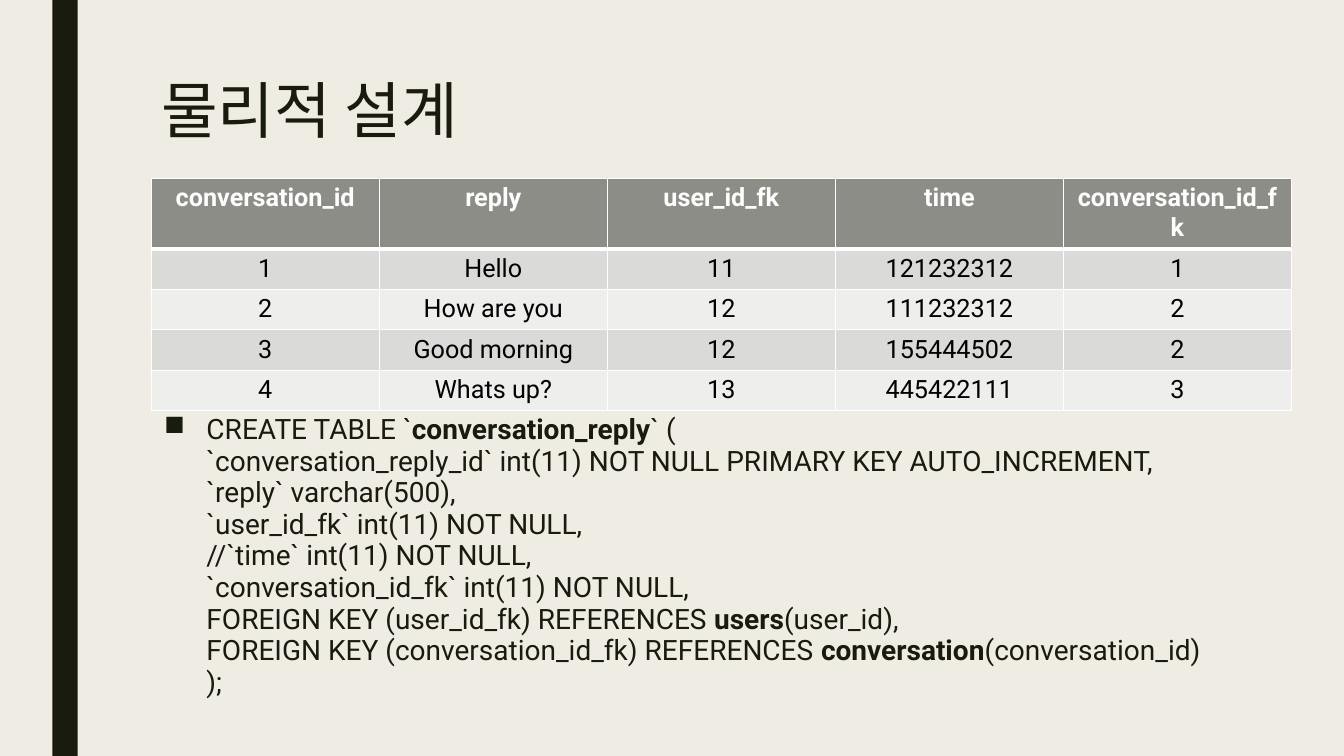
from typing import NamedTuple

from lxml.etree import SubElement
from pptx import Presentation
from pptx.dml.color import RGBColor
from pptx.enum.shapes import MSO_SHAPE
from pptx.enum.text import MSO_ANCHOR, PP_ALIGN
from pptx.oxml.ns import qn
from pptx.slide import Slide
from pptx.table import _Cell
from pptx.text.text import TextFrame, _Paragraph
from pptx.util import Inches, Pt

FONT = "Roboto"
IVORY = RGBColor(0xEF, 0xED, 0xE3)
INK = RGBColor(0x19, 0x1B, 0x0E)
WHITE = RGBColor(0xFF, 0xFF, 0xFF)
BLACK = RGBColor(0, 0, 0)
HEADER_GRAY = RGBColor(0x8C, 0x8D, 0x86)
BAND_DARK = RGBColor(0xDA, 0xDB, 0xD9)
BAND_LIGHT = RGBColor(0xEE, 0xEE, 0xED)


class Box(NamedTuple):
    left: float
    top: float
    width: float
    height: float


class RowStyle(NamedTuple):
    fill: RGBColor
    color: RGBColor
    bold: bool
    top_line: float
    bottom_line: float


class Piece(NamedTuple):
    text: str
    bold: bool = False


HEADER = RowStyle(HEADER_GRAY, WHITE, True, 1, 3)
FIRST_ROW = RowStyle(BAND_DARK, BLACK, False, 3, 1)
ODD_ROW = RowStyle(BAND_DARK, BLACK, False, 1, 1)
EVEN_ROW = RowStyle(BAND_LIGHT, BLACK, False, 1, 1)
ROW_STYLES = [HEADER, FIRST_ROW, EVEN_ROW, ODD_ROW, EVEN_ROW]

REPLIES = [
    ["conversation_id", "reply", "user_id_fk", "time", "conversation_id_fk"],
    ["1", "Hello", "11", "121232312", "1"],
    ["2", "How are you", "12", "111232312", "2"],
    ["3", "Good morning", "12", "155444502", "2"],
    ["4", "Whats up?", "13", "445422111", "3"],
]

SQL_LINES = [
    [Piece("CREATE TABLE `"), Piece("conversation_reply", True), Piece("` (")],
    [Piece("`conversation_reply_id` int(11) NOT NULL PRIMARY KEY AUTO_INCREMENT,")],
    [Piece("`reply` varchar(500),")],
    [Piece("`user_id_fk` int(11) NOT NULL,")],
    [Piece("//`time` int(11) NOT NULL,")],
    [Piece("`conversation_id_fk` int(11) NOT NULL,")],
    [Piece("FOREIGN KEY (user_id_fk) REFERENCES "), Piece("users", True),
     Piece("(user_id),")],
    [Piece("FOREIGN KEY (conversation_id_fk) REFERENCES "),
     Piece("conversation", True), Piece("(conversation_id)")],
    [Piece(");")],
]


def set_font(paragraph: _Paragraph, size: float, color: RGBColor) -> None:
    paragraph.font.name = FONT
    paragraph.font.size = Pt(size)
    paragraph.font.color.rgb = color


def add_text_frame(slide: Slide, box: Box) -> TextFrame:
    frame = slide.shapes.add_textbox(*map(Inches, box)).text_frame
    frame.word_wrap = True
    frame.vertical_anchor = MSO_ANCHOR.TOP
    return frame


def add_side_bar(slide: Slide, box: Box) -> None:
    bar = slide.shapes.add_shape(MSO_SHAPE.RECTANGLE, *map(Inches, box))
    bar.shadow.inherit = False
    bar.fill.solid()
    bar.fill.fore_color.rgb = INK
    bar.line.fill.background()


def add_title(slide: Slide, box: Box, text: str) -> None:
    title = add_text_frame(slide, box).paragraphs[0]
    title.text = text
    title.line_spacing = 0.89
    set_font(title, 44, INK)


def set_borders(cell: _Cell, style: RowStyle) -> None:
    properties = cell._tc.get_or_add_tcPr()
    widths = {"lnL": 1, "lnR": 1, "lnT": style.top_line, "lnB": style.bottom_line}
    for tag, width in widths.items():
        line = SubElement(properties, qn(f"a:{tag}"), w=str(Pt(width)))
        fill = SubElement(line, qn("a:solidFill"))
        SubElement(fill, qn("a:srgbClr"), val=str(WHITE))


def add_reply_table(slide: Slide, box: Box) -> None:
    table = slide.shapes.add_table(
        len(REPLIES), len(REPLIES[0]), *map(Inches, box)).table
    for row, values, style in zip(table.rows, REPLIES, ROW_STYLES):
        row.height = Inches(0.35)
        for cell, value in zip(row.cells, values):
            set_borders(cell, style)
            cell.fill.solid()
            cell.fill.fore_color.rgb = style.fill
            paragraph = cell.text_frame.paragraphs[0]
            paragraph.text = value
            paragraph.alignment = PP_ALIGN.CENTER
            set_font(paragraph, 18, style.color)
            paragraph.font.bold = style.bold


def add_statement(slide: Slide, box: Box) -> None:
    """Add the SQL statement as one bulleted paragraph with line breaks."""
    statement = add_text_frame(slide, box).paragraphs[0]
    statement.line_spacing = 0.94
    statement.space_after = Pt(2)
    properties = statement._p.get_or_add_pPr()
    properties.set("marL", str(Inches(0.42)))
    properties.set("indent", str(Inches(-0.42)))
    SubElement(properties, qn("a:buChar"), char="■")
    set_font(statement, 20, INK)
    for number, pieces in enumerate(SQL_LINES):
        if number:
            statement.add_line_break()
        for piece in pieces:
            run = statement.add_run()
            run.text = piece.text
            run.font.bold = piece.bold


def main() -> None:
    deck = Presentation()
    deck.slide_width, deck.slide_height = Inches(13.33), Inches(7.5)
    slide = deck.slides.add_slide(deck.slide_layouts[6])
    slide.background.fill.solid()
    slide.background.fill.fore_color.rgb = IVORY
    add_side_bar(slide, Box(0.52, 0, 0.25, 7.5))
    add_title(slide, Box(1.5, 0.75, 10.5, 1.62), "물리적 설계")
    add_statement(slide, Box(1.53, 4.06, 10.5, 3.08))
    add_reply_table(slide, Box(1.5, 1.77, 11.31, 2))
    deck.save("out.pptx")


if __name__ == "__main__":
    main()
